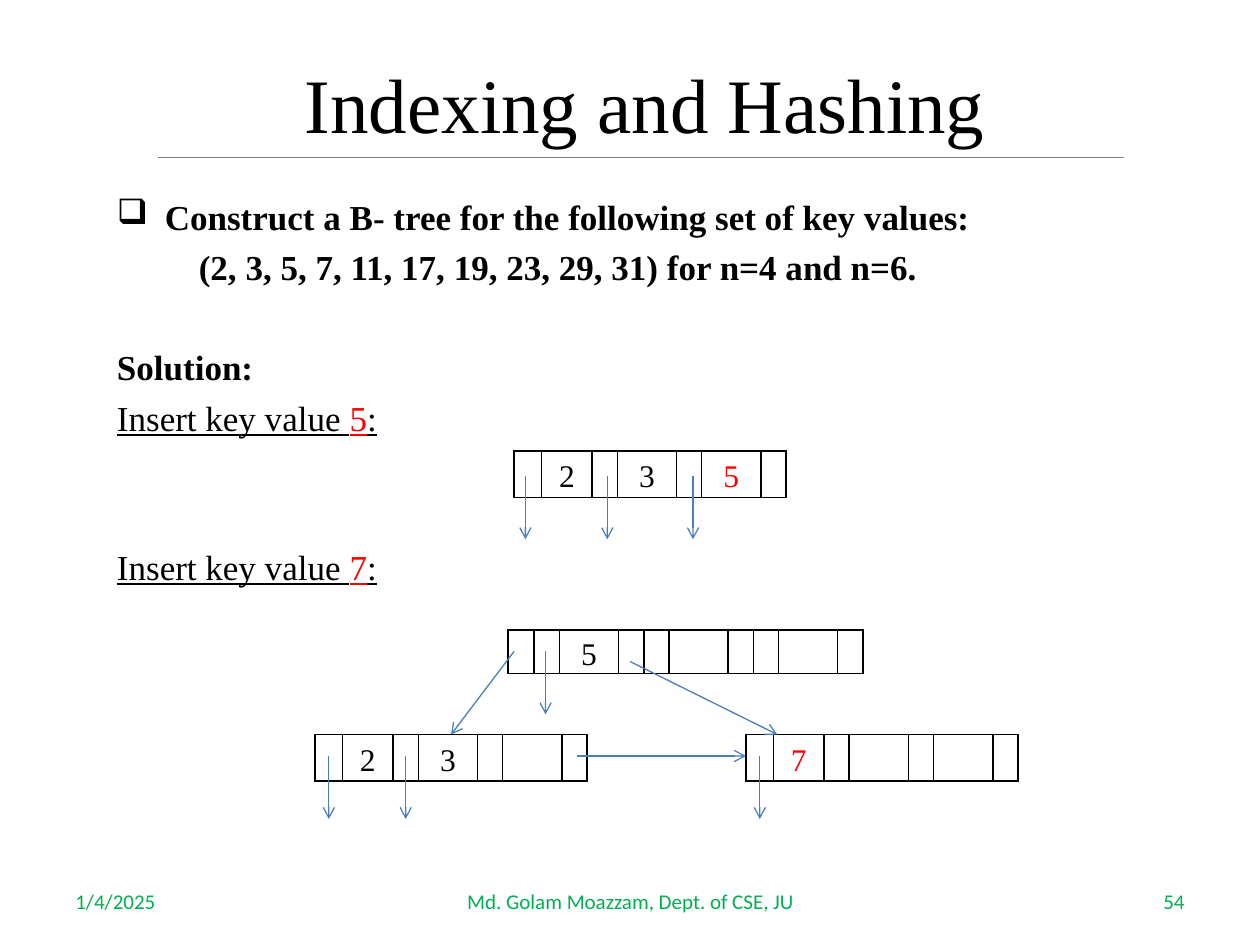
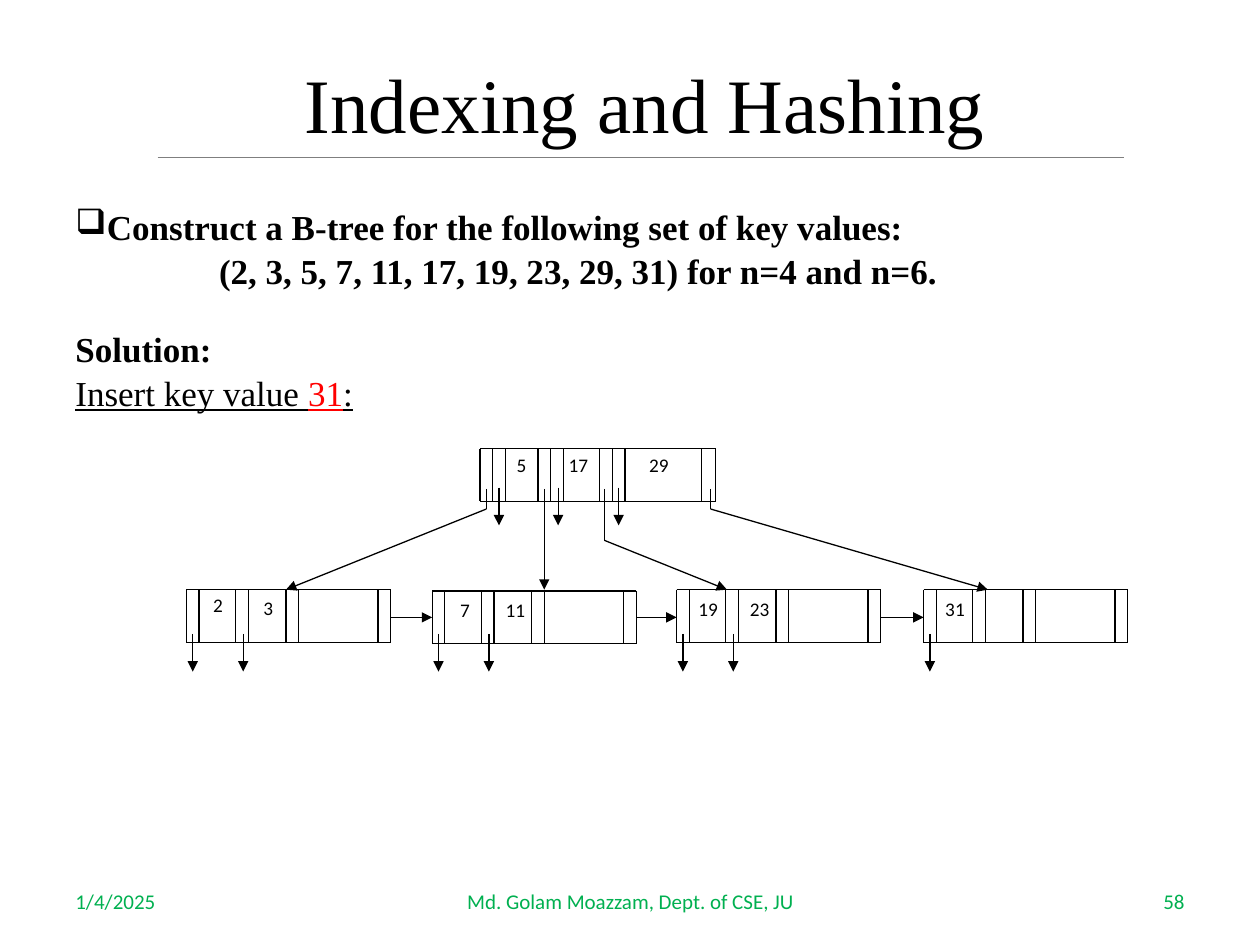
from itertools import accumulate, pairwise

from lxml import etree
from pptx import Presentation
from pptx import util as u
from pptx.dml import color
from pptx.enum import shapes, text
from pptx.oxml import ns

PX = 9144
BLACK, RED, GREEN, BLUE, GREY = "000000", "FF0000", "00B050", "4B7EBC", "7F7F7F"
SERIF, SANS = "Times New Roman", "Calibri"
LEFT, CENTER, RIGHT = text.PP_ALIGN.LEFT, text.PP_ALIGN.CENTER, text.PP_ALIGN.RIGHT
KEY_SET = "(2, 3, 5, 7, 11, 17, 19, 23, 29, 31) for n=4 and n=6."
LEAF_COLUMNS = [22, 40, 20, 47, 20, 47, 20]
ROOT_COLUMNS = [21] + [20, 47, 20] * 3


def px(length):
    return u.Emu(length * PX)


def rgb(value):
    return color.RGBColor.from_string(value)


def child(parent, tag, **attributes):
    return etree.SubElement(parent, ns.qn(tag), attributes)


def write(paragraph, words, font=SERIF, size=20, ink=BLACK, bold=False, underline=False):
    run = paragraph.add_run()
    run.text = words
    run.font.name = font
    run.font.size = u.Pt(size)
    run.font.color.rgb = rgb(ink)
    run.font.bold = bold
    run.font.underline = underline


def layout(paragraph, before=0, margin=0, hanging=0, bullet=None):
    properties = paragraph._p.get_or_add_pPr()
    properties.set("marL", str(px(margin)))
    properties.set("indent", str(px(-hanging)))
    child(properties, "a:buChar", char=bullet) if bullet else child(properties, "a:buNone")
    if before:
        paragraph.space_before = u.Pt(before)


class Deck:
    def __init__(self):
        self.presentation = Presentation()
        self.presentation.slide_width = px(1000)
        self.presentation.slide_height = px(750)
        self.slide = None

    def new_slide(self, number):
        self.slide = self.presentation.slides.add_slide(self.presentation.slide_layouts[6])
        self.label("Indexing and Hashing", 133, 38, 758, 87, size=44)
        self.line(125, 125, 892, 125, ink=GREY)
        for words, left, width, align in (
            ("1/4/2025", 50, 233, LEFT),
            (number, 717, 233, RIGHT),
            ("Md. Golam Moazzam, Dept. of CSE, JU", 342, 317, CENTER),
        ):
            self.label(words, left, 695, width, 40, align, font=SANS, size=12, ink=GREEN)

    def box(self, left, top, width, height):
        shape = self.slide.shapes.add_textbox(px(left), px(top), px(width), px(height))
        shape.text_frame.word_wrap = True
        return shape.text_frame

    def label(self, words, left, top, width, height, align=CENTER, **style):
        frame = self.box(left, top, width, height)
        frame.vertical_anchor = text.MSO_ANCHOR.MIDDLE
        frame.paragraphs[0].alignment = align
        write(frame.paragraphs[0], words, **style)

    def key(self, words, centre, top):
        frame = self.box(centre - 20, top, 40, 45)
        frame.margin_left = frame.margin_right = frame.margin_top = frame.margin_bottom = 0
        frame.paragraphs[0].alignment = CENTER
        write(frame.paragraphs[0], words, font=SANS, size=11)

    def body(self, left, top, width, height, task, hanging, key_margin, gap, solution_gap, inserts):
        frame = self.box(left, top, width, height)
        paragraph = frame.paragraphs[0]
        layout(paragraph, margin=hanging, hanging=hanging, bullet="❑")
        write(paragraph, task, bold=True)
        for words, before, margin in ((KEY_SET, gap, key_margin), ("Solution:", solution_gap, 0)):
            paragraph = frame.add_paragraph()
            layout(paragraph, before, margin)
            write(paragraph, words, bold=True)
        for value, before in inserts:
            paragraph = frame.add_paragraph()
            layout(paragraph, before)
            for words, ink in (("Insert key value ", BLACK), (value, RED), (":", BLACK)):
                write(paragraph, words, ink=ink, underline=True)

    def line(self, x1, y1, x2, y2, ink=BLACK, head=None):
        connector = self.slide.shapes.add_connector(
            shapes.MSO_CONNECTOR.STRAIGHT, px(x1), px(y1), px(x2), px(y2))
        connector.line.color.rgb = rgb(ink)
        connector.line.width = u.Pt(0.75)
        if head:
            child(connector.line._get_or_add_ln(), "a:tailEnd", type=head)
        child(connector._element.spPr, "a:effectLst")

    def table_node(self, left, top, height, columns, keys, new_key=None):
        frame = self.slide.shapes.add_table(
            1, len(columns), px(left), px(top), px(sum(columns)), px(height))
        table = frame.table
        table.first_row = table.horz_banding = False
        table.rows[0].height = px(height)
        for index, width in enumerate(columns):
            table.columns[index].width = px(width)
            cell = table.cell(0, index)
            cell.margin_left = cell.margin_right = px(7 if width > 30 else 0)
            cell.margin_top = cell.margin_bottom = 0
            cell.vertical_anchor = text.MSO_ANCHOR.MIDDLE
            cell.fill.background()
            self.borders(cell)
            paragraph = cell.text_frame.paragraphs[0]
            paragraph.alignment = CENTER
            if index in keys:
                paragraph.line_spacing = 1.15
                value = keys[index]
                write(paragraph, value, size=18, ink=RED if value == new_key else BLACK)
            else:
                paragraph.font.size = u.Pt(12)

    def borders(self, cell):
        properties = cell._tc.get_or_add_tcPr()
        for place, side in enumerate(("a:lnL", "a:lnR", "a:lnT", "a:lnB")):
            border = child(properties, side, w=str(u.Pt(1)))
            child(child(border, "a:solidFill"), "a:srgbClr", val=BLACK)
            properties.insert(place, border)

    def line_node(self, left, top, columns):
        edges = list(accumulate(columns, initial=left))
        for y in (top, top + 42):
            self.line(left, y, edges[-1], y)
        for x in edges:
            self.line(x, top, x, top + 42)


def insert_five_and_seven(deck):
    deck.new_slide("54")
    deck.body(83, 150, 900, 558, "Construct a B- tree for the following set of key values:",
              hanging=38, key_margin=65, gap=5, solution_gap=33,
              inserts=(("5", 5), ("7", 61)))
    deck.table_node(408, 358, 37, LEAF_COLUMNS, {1: "2", 3: "3", 5: "5"}, "5")
    deck.table_node(250, 583, 37, LEAF_COLUMNS, {1: "2", 3: "3"})
    deck.table_node(592, 583, 37, LEAF_COLUMNS, {1: "7"}, "7")
    deck.table_node(403, 500, 33, ROOT_COLUMNS, {2: "5"})
    for x, y in ((417, 378), (482, 378), (550, 378), (261, 600), (322, 600), (603, 600), (433, 517)):
        deck.line(x, y, x, y + 50, BLUE, "arrow")
    for link in ((408, 517, 358, 583), (500, 525, 617, 583), (458, 600, 592, 600)):
        deck.line(*link, BLUE, "arrow")


def insert_thirty_one(deck):
    deck.new_slide("58")
    deck.body(50, 158, 900, 508, "Construct a B-tree for the following set of key values:",
              hanging=25, key_margin=114, gap=1, solution_gap=21, inserts=(("31", 1),))

    deck.line_node(381, 356, [10, 10, 26, 10, 10, 29, 10, 10, 61, 11])
    for value, centre in (("5", 414), ("17", 459), ("29", 523)):
        deck.key(value, centre, 360)
    for x in (396, 443, 491):
        deck.line(x, 387, x, 417, head="triangle")
    for x, bend, target in ((386, 404, 227), (432, 404, 432), (480, 429, 577), (564, 404, 784)):
        deck.line(x, 388, x, bend)
        deck.line(x, bend, target, 468, head="triangle")

    leaves = (
        (148, 468, (("2", 173, 471), ("3", 213, 473))),
        (343, 469, (("7", 369, 475), ("11", 409, 475))),
        (537, 468, (("19", 562, 474), ("23", 603, 474))),
        (733, 468, (("31", 758, 474),)),
    )
    for left, top, keys in leaves:
        deck.line_node(left, top, [10, 29, 10, 30, 10, 63, 10])
        for (value, centre, key_top), offset in zip(keys, (5, 45)):
            deck.key(value, centre, key_top)
            deck.line(left + offset, 503, left + offset, 533, head="triangle")
    for leaf, following in pairwise(leaves):
        deck.line(leaf[0] + 162, 490, following[0], 490, head="triangle")


def main():
    deck = Deck()
    insert_five_and_seven(deck)
    insert_thirty_one(deck)
    deck.presentation.save("out.pptx")


if __name__ == "__main__":
    main()
